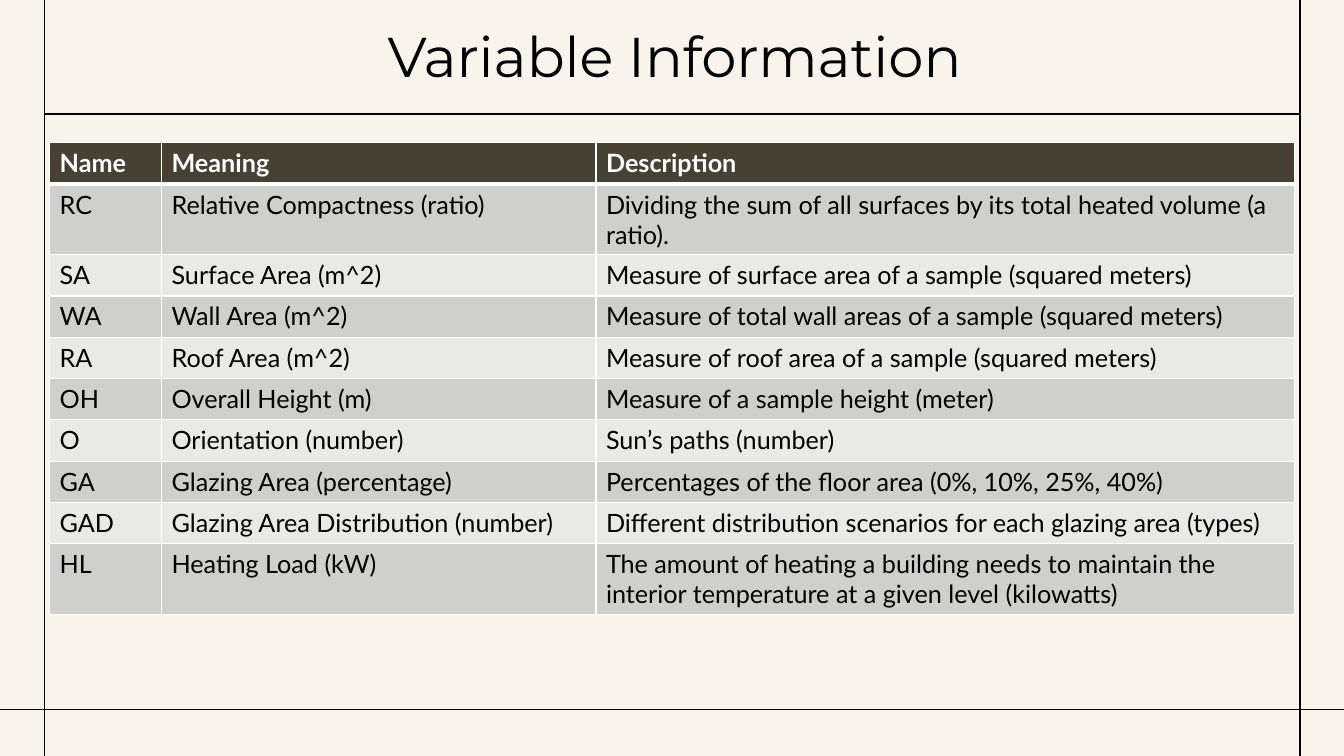
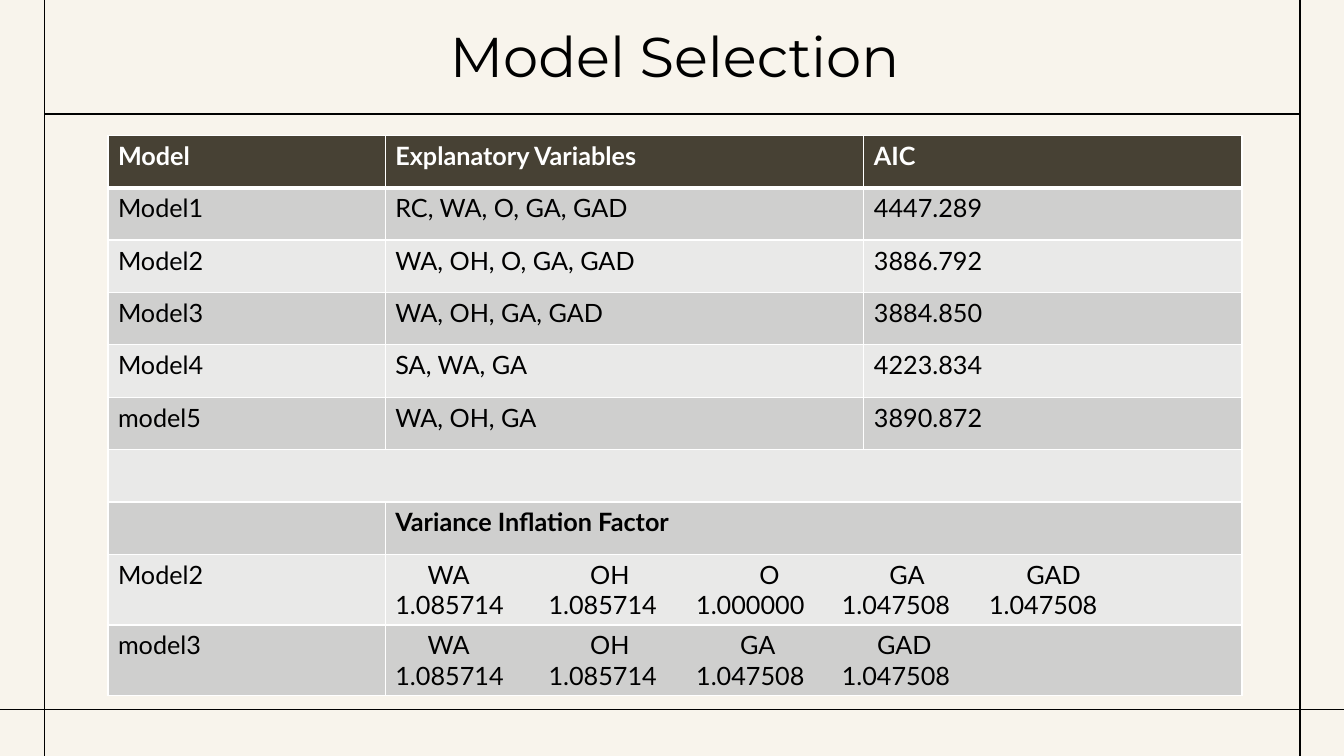
from dataclasses import dataclass
from typing import Any

from lxml import etree
from pptx import Presentation
from pptx.dml.color import RGBColor
from pptx.enum.shapes import MSO_CONNECTOR
from pptx.enum.text import MSO_ANCHOR, MSO_AUTO_SIZE, PP_ALIGN
from pptx.oxml.ns import qn
from pptx.util import Cm, Pt

STRAIGHT = MSO_CONNECTOR.STRAIGHT
MIDDLE = MSO_ANCHOR.MIDDLE
TOP = MSO_ANCHOR.TOP
CENTER = PP_ALIGN.CENTER
NO_AUTOFIT = MSO_AUTO_SIZE.NONE
TITLE_ONLY = 5


# Theme
@dataclass(frozen=True)
class Theme:
    paper: str = "F8F4EC"
    ink: str = "000000"
    white: str = "FFFFFF"
    header: str = "474134"
    dark_band: str = "CFCFCE"
    light_band: str = "E9E9E8"
    title_font: str = "Montserrat"
    body_font: str = "Lato"
    title_size: float = 40
    body_size: float = 18
    frame_width: float = 1.25
    border_width: float = 1
    header_border: float = 3


THEME = Theme()
PAGE_WIDTH, PAGE_HEIGHT = 33.87, 19.05
FRAME_LEFT, FRAME_RIGHT = 1.12, 32.77
TITLE_RULE, FOOT_RULE = 2.87, 17.88


# Content records; lengths are in centimetres
@dataclass(frozen=True)
class Rule:
    x1: float
    y1: float
    x2: float
    y2: float


@dataclass(frozen=True)
class Line:
    text: str
    tabs: tuple[float, ...] = ()


@dataclass(frozen=True)
class Entry:
    lines: tuple[Line, ...]
    bold: bool = False


@dataclass(frozen=True)
class TablePage:
    title: str
    left: float
    top: float
    columns: tuple[float, ...]
    row_height: float
    rows: tuple[tuple[str | Entry, ...], ...]


FRAME = (
    Rule(FRAME_LEFT, TITLE_RULE, FRAME_RIGHT, TITLE_RULE),
    Rule(0, FOOT_RULE, PAGE_WIDTH, FOOT_RULE),
    Rule(FRAME_LEFT, PAGE_HEIGHT, FRAME_LEFT, 0),
    Rule(FRAME_RIGHT, PAGE_HEIGHT, FRAME_RIGHT, 0),
)
VALUE_TABS = (3.86, 7.58, 11.25, 14.96)


def inflation_entry(names: str, values: str, name_tabs: tuple[float, ...]) -> Entry:
    """Variable names above their variance inflation factors."""
    return Entry((
        Line("\t" + "\t".join(names.split()), name_tabs),
        Line("\t".join(values.split()), VALUE_TABS),
    ))


VARIABLES = TablePage(
    "Variable Information", 1.25, 3.6, (2.82, 10.95, 17.6), 1.04,
    (
        ("Name", "Meaning", "Description"),
        ("RC", "Relative Compactness (ratio)",
         "Dividing the sum of all surfaces by its total heated volume (a ratio)."),
        ("SA", "Surface Area (m^2)",
         "Measure of surface area of a sample (squared meters)"),
        ("WA", "Wall Area (m^2)",
         "Measure of total wall areas of a sample (squared meters)"),
        ("RA", "Roof Area (m^2)",
         "Measure of roof area of a sample (squared meters)"),
        ("OH", "Overall Height (m)", "Measure of a sample height (meter)"),
        ("O", "Orientation (number)", "Sun’s paths (number)"),
        ("GA", "Glazing Area (percentage)",
         "Percentages of the floor area (0%, 10%, 25%, 40%)"),
        ("GAD", "Glazing Area Distribution (number)",
         "Different distribution scenarios for each glazing area (types)"),
        ("HL", "Heating Load (kW)",
         "The amount of heating a building needs to maintain the interior "
         "temperature at a given level (kilowatts)"),
    ),
)

# The last entry of a short row spans the remaining columns
MODELS = TablePage(
    "Model Selection", 2.72, 3.41, (6.99, 12.06, 9.53), 1.32,
    (
        ("Model", "Explanatory Variables", "AIC"),
        ("Model1", "RC, WA, O, GA, GAD", "4447.289"),
        ("Model2", "WA, OH, O, GA, GAD", "3886.792"),
        ("Model3", "WA, OH, GA, GAD", "3884.850"),
        ("Model4", "SA, WA, GA", "4223.834"),
        ("model5", "WA, OH, GA", "3890.872"),
        ("",),
        ("", Entry((Line("Variance Inflation Factor"),), bold=True)),
        ("Model2", inflation_entry(
            "WA OH O GA GAD", "1.085714 1.085714 1.000000 1.047508 1.047508",
            (0.81, 4.91, 9.17, 12.45, 15.9))),
        ("model3", inflation_entry(
            "WA OH GA GAD", "1.085714 1.085714 1.047508 1.047508",
            (0.81, 4.91, 8.69, 12.14))),
    ),
)


# Formatting helpers
def set_values(target: Any, values: dict[str, Any]) -> None:
    for name, value in values.items():
        setattr(target, name, value)


def set_fill(fill: Any, color: str) -> None:
    fill.solid()
    fill.fore_color.rgb = RGBColor.from_string(color)


def write_span(para: Any, text: str, color: str, values: dict[str, Any]) -> None:
    span = para.add_run()
    span.text = text
    set_values(span.font, values)
    span.font.color.rgb = RGBColor.from_string(color)


def set_tabs(para: Any, stops: tuple[float, ...]) -> None:
    properties = para._p.get_or_add_pPr()
    tab_list = etree.SubElement(properties, qn("a:tabLst"))
    for stop in stops:
        etree.SubElement(tab_list, qn("a:tab"), pos=str(Cm(stop)), algn="l")


def set_borders(cell: Any, widths: dict[str, float]) -> None:
    properties = cell._tc.get_or_add_tcPr()
    for index, (side, width) in enumerate(widths.items()):
        line = etree.Element(qn(f"a:{side}"), w=str(Pt(width)))
        fill = etree.SubElement(line, qn("a:solidFill"))
        etree.SubElement(fill, qn("a:srgbClr"), val=THEME.white)
        properties.insert(index, line)


# Shared frame and title position
def add_frame(deck: Any, page: Any) -> None:
    """Draw the rules on a page, then hand them to the slide master."""
    master = deck.slide_master
    set_fill(master.background.fill, THEME.paper)
    for rule in FRAME:
        line = page.shapes.add_connector(
            STRAIGHT, Cm(rule.x1), Cm(rule.y1), Cm(rule.x2), Cm(rule.y2))
        line.line.width = Pt(THEME.frame_width)
        set_fill(line.line.fill, THEME.ink)
        etree.SubElement(line.element.spPr, qn("a:effectLst"))
        master.shapes.element.append(line.element)


def add_title(page: Any, text: str) -> None:
    box = page.shapes.title
    set_values(box, {"left": Cm(5.66), "top": Cm(0.15),
                     "width": Cm(22.68), "height": Cm(2.69)})
    set_values(box.text_frame, {"vertical_anchor": MIDDLE, "word_wrap": True,
                                "auto_size": NO_AUTOFIT})
    para = box.text_frame.paragraphs[0]
    set_values(para, {"alignment": CENTER, "line_spacing": 0.9})
    write_span(para, text, THEME.ink,
               {"name": THEME.title_font, "size": Pt(THEME.title_size)})


# Tables
def fill_cell(cell: Any, entry: str | Entry, is_header: bool) -> None:
    if isinstance(entry, str):
        entry = Entry((Line(entry),) if entry else (), bold=is_header)
    color = THEME.white if is_header else THEME.ink
    cell.vertical_anchor = TOP
    frame = cell.text_frame
    for index, line in enumerate(entry.lines):
        para = frame.add_paragraph() if index else frame.paragraphs[0]
        if line.tabs:
            set_tabs(para, line.tabs)
        write_span(para, line.text, color,
                   {"name": THEME.body_font, "size": Pt(THEME.body_size),
                    "bold": entry.bold})


def row_color(row: int) -> str:
    if row == 0:
        return THEME.header
    return THEME.dark_band if row % 2 else THEME.light_band


def add_table(page: Any, content: TablePage) -> None:
    row_count, column_count = len(content.rows), len(content.columns)
    table = page.shapes.add_table(
        row_count, column_count, Cm(content.left), Cm(content.top),
        Cm(sum(content.columns)), Cm(content.row_height * row_count)).table
    table.horz_banding = False
    for column, width in zip(table.columns, content.columns):
        column.width = Cm(width)
    for row, entries in enumerate(content.rows):
        table.rows[row].height = Cm(content.row_height)
        thin, thick = THEME.border_width, THEME.header_border
        widths = {"lnL": thin, "lnR": thin,
                  "lnT": thick if row == 1 else thin,
                  "lnB": thick if row == 0 else thin}
        for column in range(column_count):
            cell = table.cell(row, column)
            set_fill(cell.fill, row_color(row))
            set_borders(cell, widths)
        for column, entry in enumerate(entries):
            fill_cell(table.cell(row, column), entry, row == 0)
        if len(entries) < column_count:
            first = table.cell(row, len(entries) - 1)
            first.merge(table.cell(row, column_count - 1))


def main() -> None:
    deck = Presentation()
    set_values(deck, {"slide_width": Cm(PAGE_WIDTH), "slide_height": Cm(PAGE_HEIGHT)})
    for index, content in enumerate((VARIABLES, MODELS)):
        page = deck.slides.add_slide(deck.slide_layouts[TITLE_ONLY])
        if index == 0:
            add_frame(deck, page)
        add_title(page, content.title)
        add_table(page, content)
    deck.save("out.pptx")


if __name__ == "__main__":
    main()
